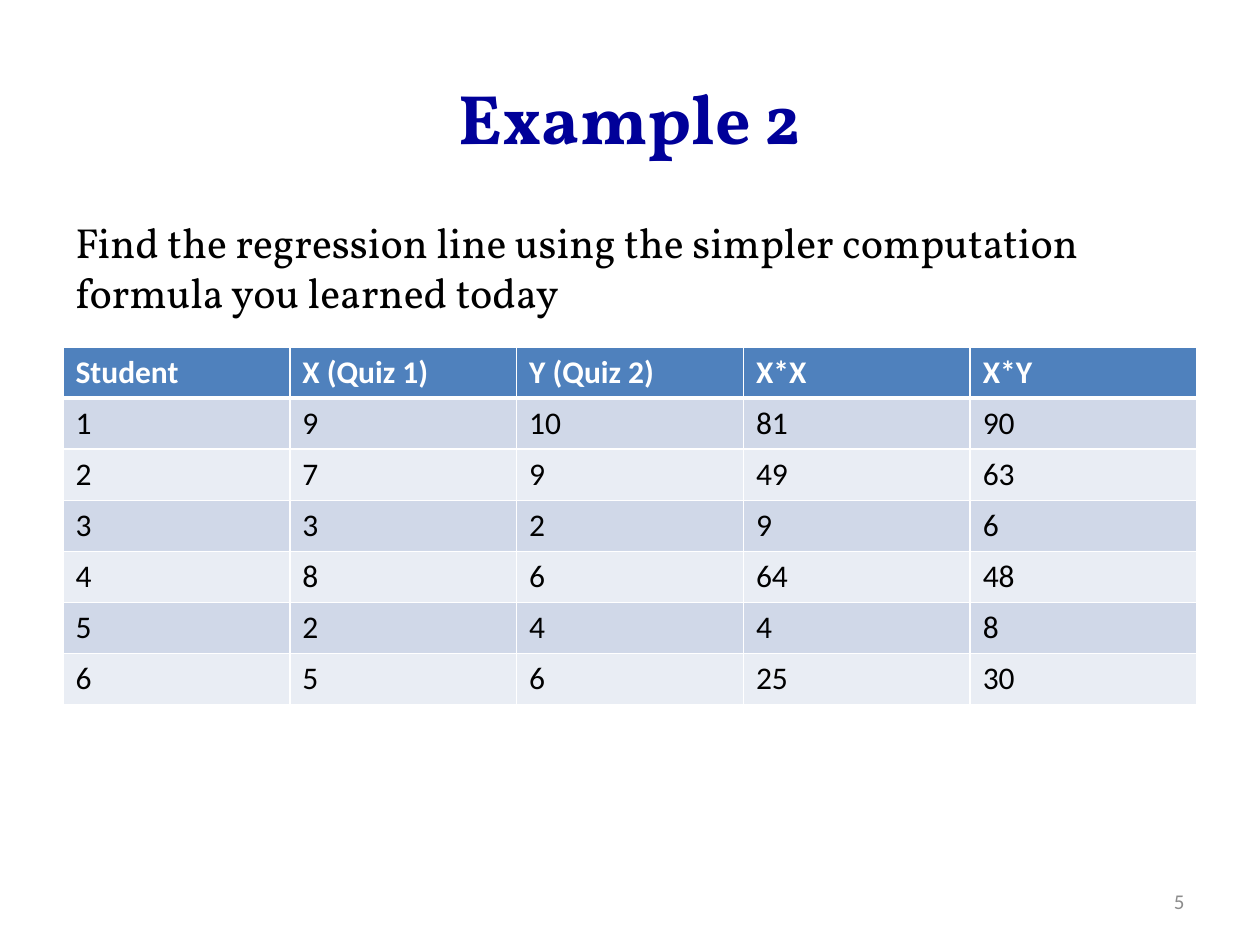
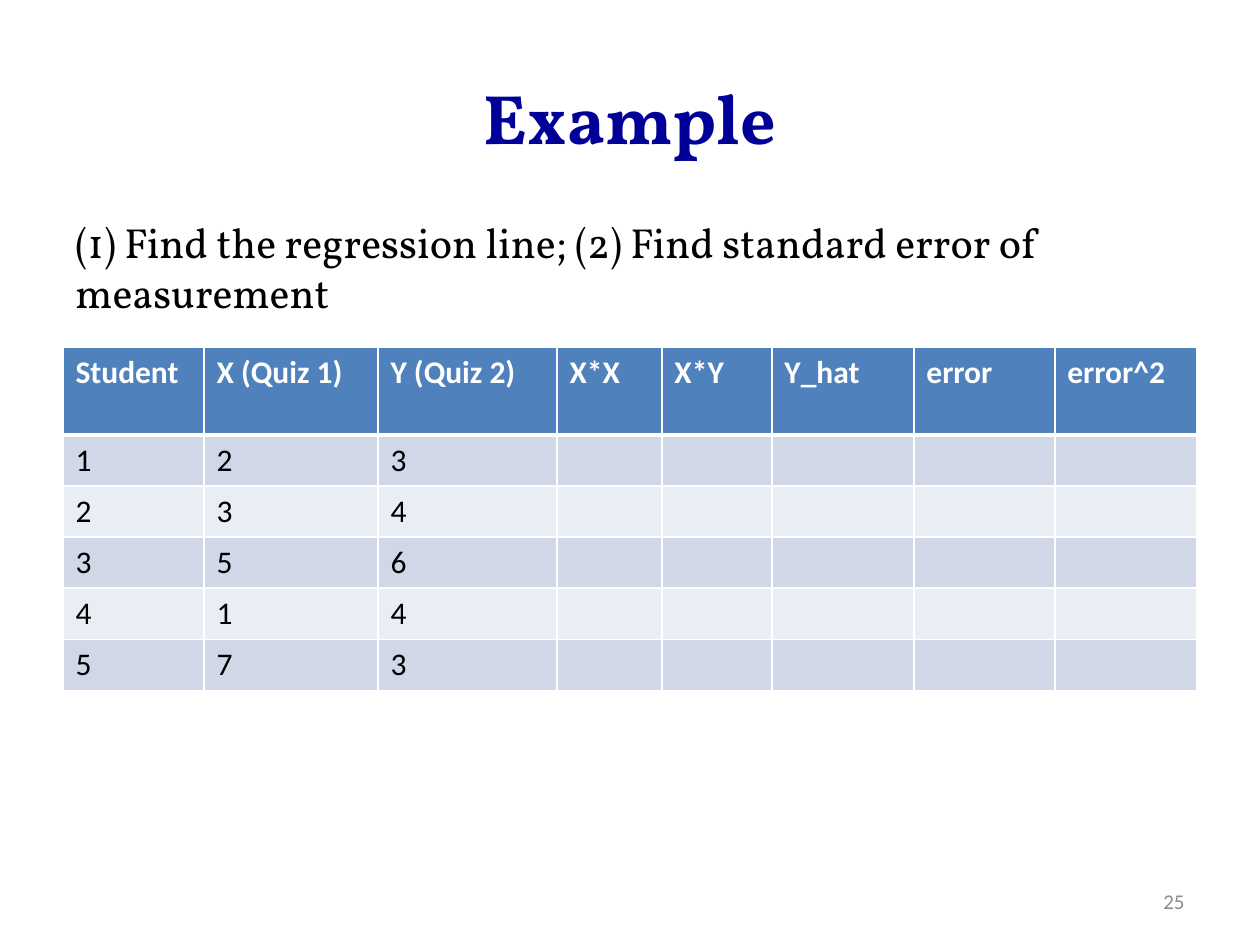
from lxml.etree import SubElement
from pptx import Presentation
from pptx.dml.color import RGBColor
from pptx.enum.text import MSO_ANCHOR as Anchor, PP_ALIGN as Align
from pptx.oxml.ns import qn
from pptx.util import Emu, Pt

PIXEL = 914400 / 126
NAVY = RGBColor(0x00, 0x00, 0x99)
BLACK = RGBColor(0x00, 0x00, 0x00)
WHITE = RGBColor(0xFF, 0xFF, 0xFF)
GRAY = RGBColor(0x8C, 0x8C, 0x8C)
HEADER_BLUE = RGBColor(0x4F, 0x81, 0xBD)
BANDS = (RGBColor(0xE9, 0xED, 0xF4), RGBColor(0xD0, 0xD8, 0xE8))
SERIF, SANS = "Vollkorn", "Calibri"
LEFT, WIDTH, ROW_HEIGHT = 63, 1134, 51

QUIZ_SCORES = ((9, 10), (7, 9), (3, 2), (8, 6), (2, 4), (5, 6))
PRACTICE_SCORES = ((2, 3), (3, 4), (5, 6), (1, 4), (7, 3))
HEADINGS = ("Student", "X (Quiz 1)", "Y (Quiz 2)", "X*X", "X*Y")
ERROR_HEADINGS = HEADINGS + ("Y_hat", "error", "error^2")
ERROR_WIDTHS = (141, 174, 179, 105, 110, 142, 141, 142)


def px(length):
    """Turn pixels into EMU."""
    return Emu(round(length * PIXEL))


def write(frame, text, size, font, color, bold=False, align=Align.LEFT):
    """Fill a text frame with one formatted paragraph."""
    frame.text = text
    para = frame.paragraphs[0]
    para.alignment = align
    for span in para.runs:
        span.font.size = Pt(size)
        span.font.name = font
        span.font.bold = bold
        span.font.color.rgb = color


def add_title(page, text):
    """Place and format the title placeholder."""
    title = page.shapes.title
    title.left, title.top = px(LEFT), px(38)
    title.width, title.height = px(WIDTH), px(158)
    title.text_frame.vertical_anchor = Anchor.MIDDLE
    write(title.text_frame, text, 40, SERIF, NAVY, True, Align.CENTER)


def add_text(page, bounds, text, size, font, color, align=Align.LEFT, anchor=Anchor.TOP):
    """Add a wrapping text box."""
    box = page.shapes.add_textbox(*map(px, bounds))
    box.text_frame.word_wrap = True
    box.text_frame.vertical_anchor = anchor
    write(box.text_frame, text, size, font, color, align=align)


def set_borders(cell, top, bottom):
    """Draw white cell borders, with top and bottom widths in points."""
    properties = cell._tc.get_or_add_tcPr()
    sides = (("lnL", 1), ("lnR", 1), ("lnT", top), ("lnB", bottom))
    for side, width in sides:
        line = SubElement(properties, qn(f"a:{side}"), w=str(Pt(width)))
        fill = SubElement(line, qn("a:solidFill"))
        SubElement(fill, qn("a:srgbClr"), val=str(WHITE))


def format_cell(cell, row, text):
    """Style a cell as part of the header or of a banded row."""
    header = row == 0
    set_borders(cell, 3 if row == 1 else 1, 3 if header else 1)
    cell.fill.solid()
    cell.fill.fore_color.rgb = HEADER_BLUE if header else BANDS[row % 2]
    write(cell.text_frame, text, 18, SANS, WHITE if header else BLACK, header)


def add_score_table(page, headings, rows, widths, header_height):
    """Add the score table, leaving cells without a value empty."""
    height = header_height + ROW_HEIGHT * len(rows)
    frame = page.shapes.add_table(
        len(rows) + 1, len(headings), px(LEFT), px(347), px(WIDTH), px(height))
    table = frame.table
    for column, width in zip(table.columns, widths):
        column.width = px(width)
    for index, values in enumerate([headings, *rows]):
        table.rows[index].height = px(ROW_HEIGHT if index else header_height)
        for column in range(len(headings)):
            text = str(values[column]) if column < len(values) else ""
            format_cell(table.cell(index, column), index, text)


def add_example(deck, title, task, number, headings, rows, widths, header_height):
    """Add a page with a task, its score table and the page number."""
    page = deck.slides.add_slide(deck.slide_layouts[5])
    add_title(page, title)
    add_score_table(page, headings, rows, widths, header_height)
    add_text(page, (LEFT, 210, 1124, 115), task, 24, SERIF, BLACK)
    add_text(page, (903, 876, 294, 50), number, 12, SANS, GRAY, Align.RIGHT, Anchor.MIDDLE)


def main():
    """Build and save the deck."""
    deck = Presentation()
    deck.slide_width, deck.slide_height = px(1260), px(945)
    solved = [(student, x, y, x * x, x * y)
              for student, (x, y) in enumerate(QUIZ_SCORES, 1)]
    unsolved = [(student, x, y) for student, (x, y) in enumerate(PRACTICE_SCORES, 1)]
    even_widths = [WIDTH / len(HEADINGS)] * len(HEADINGS)
    add_example(
        deck, "Example 2",
        "Find the regression line using the simpler computation formula you learned today",
        "5", HEADINGS, solved, even_widths, ROW_HEIGHT)
    add_example(
        deck, "Example",
        "(1) Find the regression line; (2) Find standard error of measurement",
        "25", ERROR_HEADINGS, unsolved, ERROR_WIDTHS, 88)
    deck.save("out.pptx")


main()
